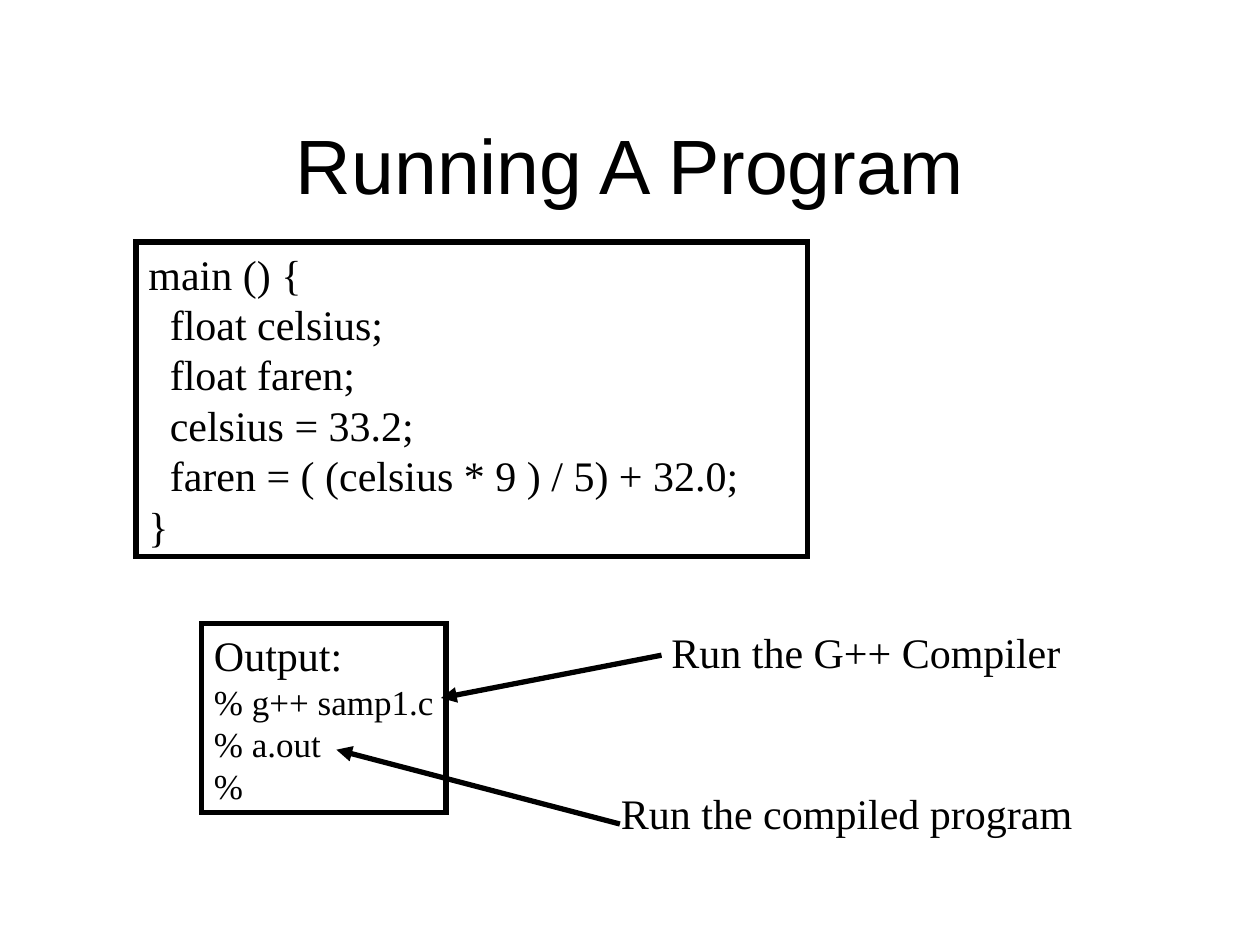
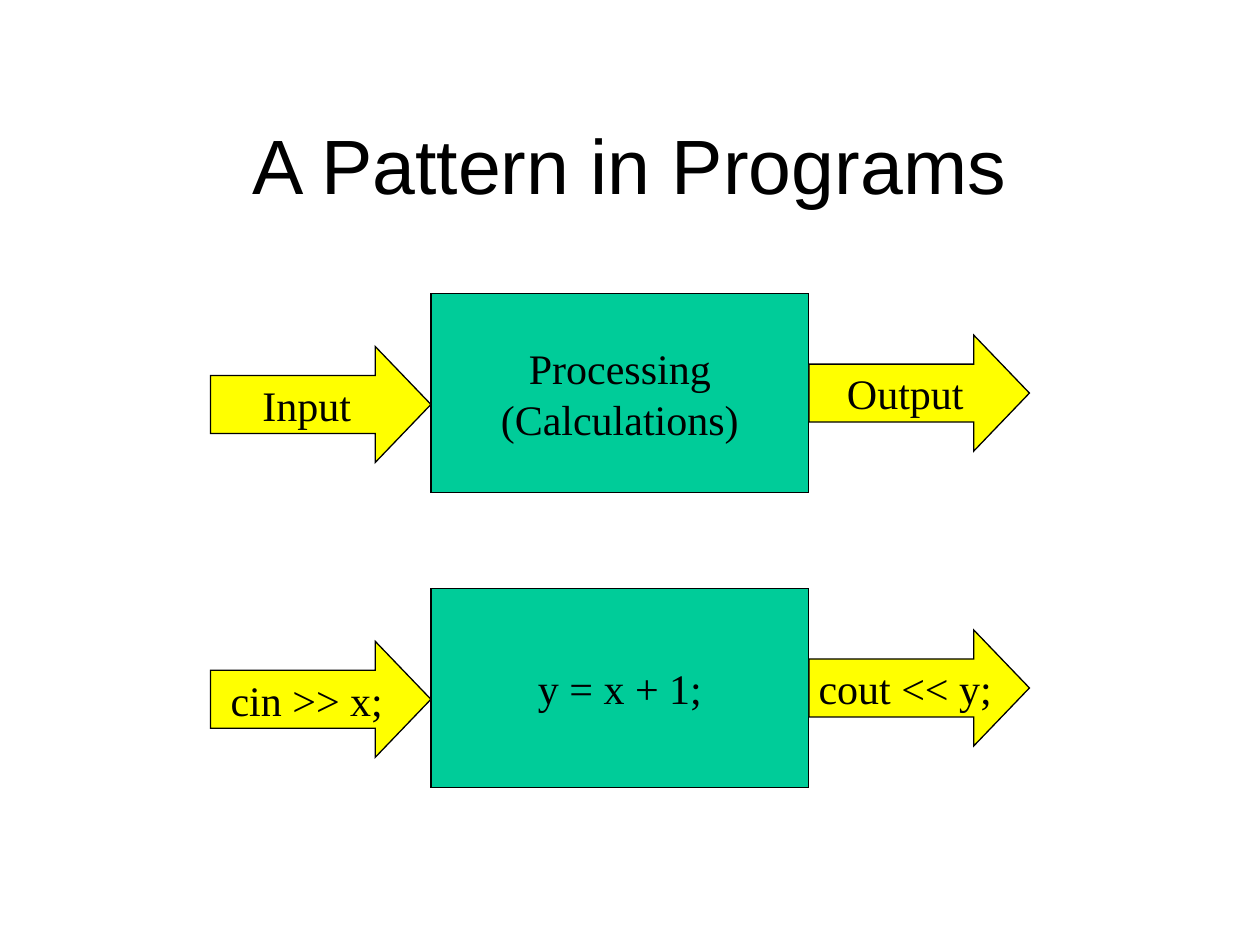
from pptx import Presentation
from pptx.dml.color import RGBColor
from pptx.enum.shapes import MSO_CONNECTOR, MSO_SHAPE
from pptx.enum.text import MSO_ANCHOR, PP_ALIGN
from pptx.oxml.ns import qn
from pptx.util import Inches, Pt
from lxml import etree

RECTANGLE, RIGHT_ARROW = MSO_SHAPE.RECTANGLE, MSO_SHAPE.RIGHT_ARROW
STRAIGHT = MSO_CONNECTOR.STRAIGHT
TOP, MIDDLE = MSO_ANCHOR.TOP, MSO_ANCHOR.MIDDLE
LEFT, CENTER = PP_ALIGN.LEFT, PP_ALIGN.CENTER

COLORS = {"ink": "000000", "process": "00CC99", "flow": "FFFF00"}
TITLE_FONT, BODY_FONT = "Arial", "Times New Roman"
TITLE_SIZE, BODY_SIZE, COMMAND_SIZE = 44, 24, 20
CODE_INDENT = Inches(0.17)
FRAME_WIDTH, OUTLINE_WIDTH = 3, 0.75

BLOCK_LEFT, BLOCK_WIDTH, BLOCK_HEIGHT = 3.42, 3, 1.58
ARROW_WIDTH, ARROW_HEIGHT = 1.75, 0.92
INPUT_DROP, OUTPUT_DROP = 0.42, 0.33


def color(name):
    """Return the palette colour of that name."""
    return RGBColor.from_string(COLORS[name])


def write(shape, lines, font=BODY_FONT, sizes=(BODY_SIZE,), align=LEFT, anchor=TOP, wrap=False):
    """Fill a shape with lines; the last size serves all remaining lines."""
    frame = shape.text_frame
    frame.text = "\n".join(lines)
    frame.word_wrap = wrap
    frame.vertical_anchor = anchor
    for index, paragraph in enumerate(frame.paragraphs):
        paragraph.alignment = align
        for run in paragraph.runs:
            run.font.name = font
            run.font.size = Pt(sizes[min(index, len(sizes) - 1)])
            run.font.color.rgb = color("ink")


def add_title(slide, title):
    """Add the centred slide title."""
    box = slide.shapes.add_textbox(Inches(0.75), Inches(0.67), Inches(8.5), Inches(1.25))
    write(box, [title], TITLE_FONT, (TITLE_SIZE,), CENTER, MIDDLE, wrap=True)


def add_outlined(slide, kind, area, line_width, fill=None):
    """Add a sharp-cornered outlined shape, filled only if a colour is named."""
    shape = slide.shapes.add_shape(kind, *map(Inches, area))
    shape.shadow.inherit = False
    shape.line.color.rgb = color("ink")
    shape.line.width = Pt(line_width)
    etree.SubElement(shape.line._get_or_add_ln(), qn("a:miter"), lim="800000")
    if fill:
        shape.fill.solid()
        shape.fill.fore_color.rgb = color(fill)
    else:
        shape.fill.background()
    return shape


def add_listing(slide, area, lines, sizes=(BODY_SIZE,), indented=()):
    """Add a framed listing and indent the lines whose indexes are given."""
    frame = add_outlined(slide, RECTANGLE, area, FRAME_WIDTH)
    write(frame, lines, sizes=sizes, wrap=True)
    frame.text_frame.margin_right = 0
    for index in indented:
        properties = frame.text_frame.paragraphs[index]._p.get_or_add_pPr()
        properties.set("marL", str(CODE_INDENT))


def add_note(slide, area, note):
    """Add a one-line remark."""
    box = slide.shapes.add_textbox(*map(Inches, area))
    write(box, [note])


def add_pointer(slide, start, end):
    """Add a thick line with an arrowhead at its end."""
    pointer = slide.shapes.add_connector(STRAIGHT, *map(Inches, start + end))
    pointer.line.color.rgb = color("ink")
    pointer.line.width = Pt(FRAME_WIDTH)
    etree.SubElement(pointer.line._get_or_add_ln(), qn("a:tailEnd"), type="triangle")
    etree.SubElement(pointer._element.spPr, qn("a:effectLst"))


def add_flow_arrow(slide, left, top, label):
    """Add a labelled block arrow."""
    area = (left, top, ARROW_WIDTH, ARROW_HEIGHT)
    arrow = add_outlined(slide, RIGHT_ARROW, area, OUTLINE_WIDTH, "flow")
    arrow.adjustments[0] = 0.5
    arrow.adjustments[1] = 0.48
    write(arrow, [label], align=CENTER, anchor=MIDDLE)


def add_flow(slide, top, source, process, result):
    """Add one row: input arrow, processing block, output arrow."""
    area = (BLOCK_LEFT, top, BLOCK_WIDTH, BLOCK_HEIGHT)
    block = add_outlined(slide, RECTANGLE, area, OUTLINE_WIDTH, "process")
    write(block, process, align=CENTER, anchor=MIDDLE)
    add_flow_arrow(slide, BLOCK_LEFT - ARROW_WIDTH, top + INPUT_DROP, source)
    add_flow_arrow(slide, BLOCK_LEFT + BLOCK_WIDTH, top + OUTPUT_DROP, result)


def build_running(slide):
    """Show the program, its output and the two commands explained."""
    add_title(slide, "Running A Program")
    program = [
        "main () {",
        "float celsius;",
        "float faren;",
        "celsius = 33.2;",
        "faren = ( (celsius * 9 ) / 5) + 32.0;",
        "}",
    ]
    add_listing(slide, (1.08, 1.92, 5.33, 2.5), program,
                indented=range(1, len(program) - 1))
    add_listing(slide, (1.6, 4.95, 1.94, 1.5),
                ["Output:", "% g++ samp1.c", "% a.out", "%"], (BODY_SIZE, COMMAND_SIZE))
    add_note(slide, (5.23, 4.92, 3.29, 0.5), "Run the G++ Compiler")
    add_note(slide, (4.83, 6.2, 3.78, 0.5), "Run the compiled program")
    add_pointer(slide, (4.92, 6.54), (2.67, 5.95))
    add_pointer(slide, (5.25, 5.2), (3.5, 5.54))


def build_pattern(slide):
    """Show the general pattern above a concrete example."""
    add_title(slide, "A Pattern in Programs")
    add_flow(slide, 2.33, "Input", ["Processing", "(Calculations)"], "Output")
    add_flow(slide, 4.67, "cin >> x;", ["y = x + 1;"], "cout << y;")


def main():
    """Build and save the presentation."""
    deck = Presentation()
    deck.slide_width, deck.slide_height = Inches(10), Inches(7.5)
    blank = deck.slide_layouts[6]
    for build in (build_running, build_pattern):
        build(deck.slides.add_slide(blank))
    deck.save("out.pptx")


if __name__ == "__main__":
    main()
